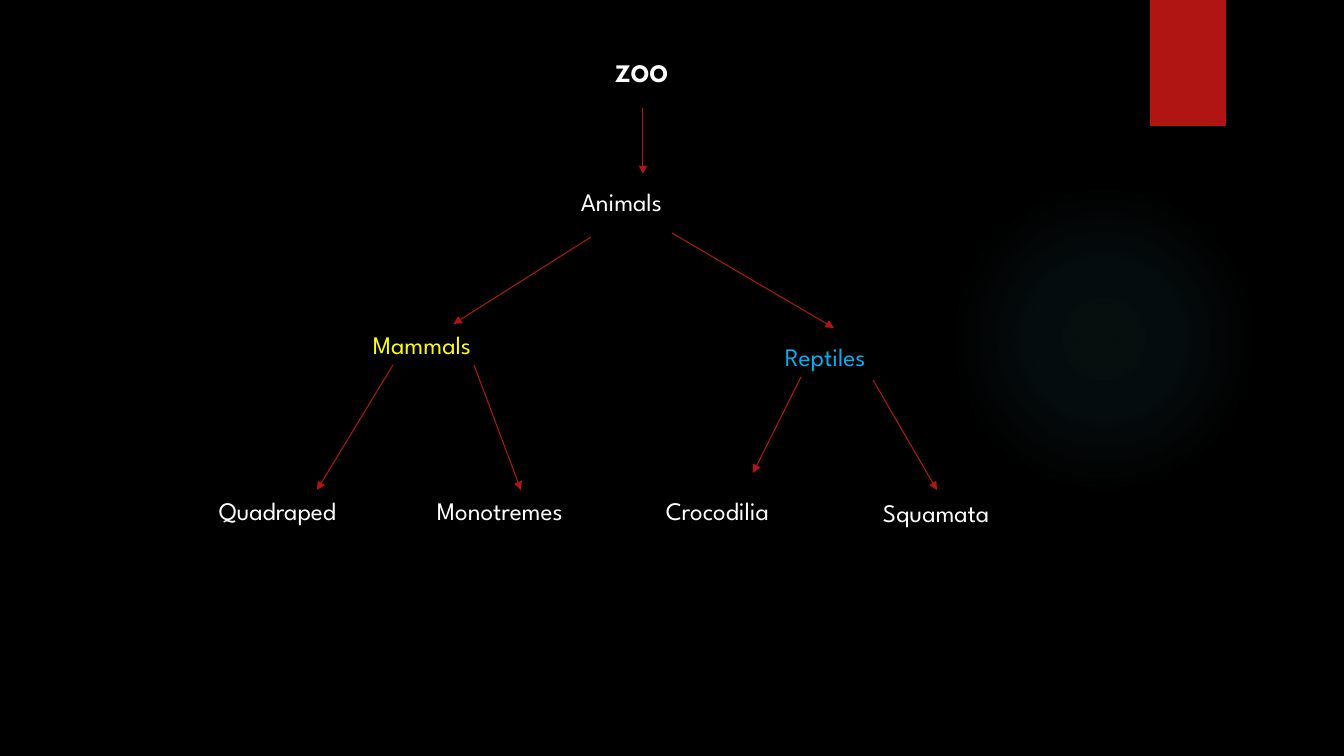
from dataclasses import dataclass

from lxml import etree
from pptx import Presentation
from pptx.dml.color import RGBColor
from pptx.enum.shapes import MSO_CONNECTOR, MSO_SHAPE
from pptx.enum.text import MSO_ANCHOR, MSO_AUTO_SIZE, PP_ALIGN
from pptx.oxml import parse_xml
from pptx.oxml.ns import nsdecls, qn
from pptx.util import Emu, Pt

STRAIGHT = MSO_CONNECTOR.STRAIGHT
OVAL, RECTANGLE = MSO_SHAPE.OVAL, MSO_SHAPE.RECTANGLE
LEFT, TOP = PP_ALIGN.LEFT, MSO_ANCHOR.TOP
FIT_SHAPE = MSO_AUTO_SIZE.SHAPE_TO_FIT_TEXT
TITLE_ONLY = 5
TOP_SIDE = 0
LABEL_HEIGHT = 40


@dataclass(frozen=True)
class Theme:
    background: str = "000000"
    accent: str = "B01513"
    glow: str = "50B9C1"
    text: str = "FFFFFF"
    mammals: str = "FFFF00"
    reptiles: str = "00B0F0"
    font: str = "League Spartan"
    label_size: float = 18
    arrow_width: float = 0.75


THEME = Theme()

# Label: left, top, width, colour, within the tree's box
LABELS = {
    "Animals": (362, 129, 150, THEME.text),
    "Mammals": (154, 272, 181, THEME.mammals),
    "Reptiles": (566, 284, 195, THEME.reptiles),
    "Quadraped": (0, 438, 201, THEME.text),
    "Monotremes": (218, 438, 181, THEME.text),
    "Crocodilia": (447, 438, 177, THEME.text),
    "Squamata": (664, 440, 167, THEME.text),
}
# Branch: start, end, label whose top centre it meets
BRANCHES = [
    ((434, 56), (434, 122), None),
    ((382, 185), (244, 272), "Mammals"),
    ((463, 181), (625, 276), None),
    ((184, 313), (108, 438), None),
    ((265, 313), (312, 438), None),
    ((592, 325), (544, 421), None),
    ((664, 328), (728, 438), None),
]


def px(length):
    return Emu(round(length * 914400 / 100.8))


def place(shape, left, top, width, height):
    shape.left, shape.top = px(left), px(top)
    shape.width, shape.height = px(width), px(height)


def write(shape, text, color=THEME.text, bold=False):
    frame = shape.text_frame
    frame.word_wrap = True
    frame.auto_size = FIT_SHAPE
    frame.vertical_anchor = TOP
    paragraph = frame.paragraphs[0]
    paragraph.alignment = LEFT
    run = paragraph.add_run()
    run.text = text
    run.font.name = THEME.font
    run.font.size = Pt(THEME.label_size)
    run.font.bold = bold
    run.font.color.rgb = RGBColor.from_string(color)


def add_arrow(slide, start, end):
    arrow = slide.shapes.add_connector(STRAIGHT, *map(px, start + end))
    arrow.line.color.rgb = RGBColor.from_string(THEME.accent)
    arrow.line.width = Pt(THEME.arrow_width)
    properties = arrow.line._get_or_add_ln()
    etree.SubElement(properties, qn("a:tailEnd"), type="triangle")
    etree.SubElement(arrow._element.spPr, qn("a:effectLst"))
    return arrow


def add_plain_shape(slide, kind, box):
    shape = slide.shapes.add_shape(kind, *map(px, box))
    shape.shadow.inherit = False
    shape.line.fill.background()
    return shape


def add_glow(slide, box):
    glow = add_plain_shape(slide, OVAL, box)
    glow.fill.background()
    stops = "".join(
        f'<a:gs pos="{position * 1000}"><a:srgbClr val="{THEME.glow}">'
        f'<a:alpha val="{alpha * 1000}"/></a:srgbClr></a:gs>'
        for position, alpha in ((0, 7), (36, 6), (69, 0))
    )
    gradient = parse_xml(
        f'<a:gradFill {nsdecls("a")}><a:gsLst>{stops}</a:gsLst><a:path path="circle">'
        '<a:fillToRect l="50000" t="50000" r="50000" b="50000"/></a:path></a:gradFill>'
    )
    properties = glow._element.spPr
    properties.replace(properties.find(qn("a:noFill")), gradient)


def add_ribbon(slide, box):
    ribbon = add_plain_shape(slide, RECTANGLE, box)
    ribbon.fill.solid()
    ribbon.fill.fore_color.rgb = RGBColor.from_string(THEME.accent)


def add_animal_tree(slide, box):
    left, top = box[:2]

    # Root of the tree
    root = slide.shapes.title
    place(root, left + 396, top, 149, LABEL_HEIGHT)
    write(root, "ZOO", bold=True)

    # Animal groups
    labels = {}
    for name, (x, y, width, color) in LABELS.items():
        label_box = (left + x, top + y, width, LABEL_HEIGHT)
        labels[name] = slide.shapes.add_textbox(*map(px, label_box))
        write(labels[name], name, color=color)

    # Branches
    for start, end, target in BRANCHES:
        arrow = add_arrow(
            slide,
            (left + start[0], top + start[1]),
            (left + end[0], top + end[1]),
        )
        if target:
            arrow.end_connect(labels[target], TOP_SIDE)


def main():
    deck = Presentation()
    deck.slide_width, deck.slide_height = px(1344), px(756)
    slide = deck.slides.add_slide(deck.slide_layouts[TITLE_ONLY])
    slide.background.fill.solid()
    slide.background.fill.fore_color.rgb = RGBColor.from_string(THEME.background)
    add_glow(slide, (949, 184, 310, 310))
    add_ribbon(slide, (1150, 0, 76, 126))
    add_animal_tree(slide, (209, 52, 831, 480))
    deck.save("out.pptx")


if __name__ == "__main__":
    main()
